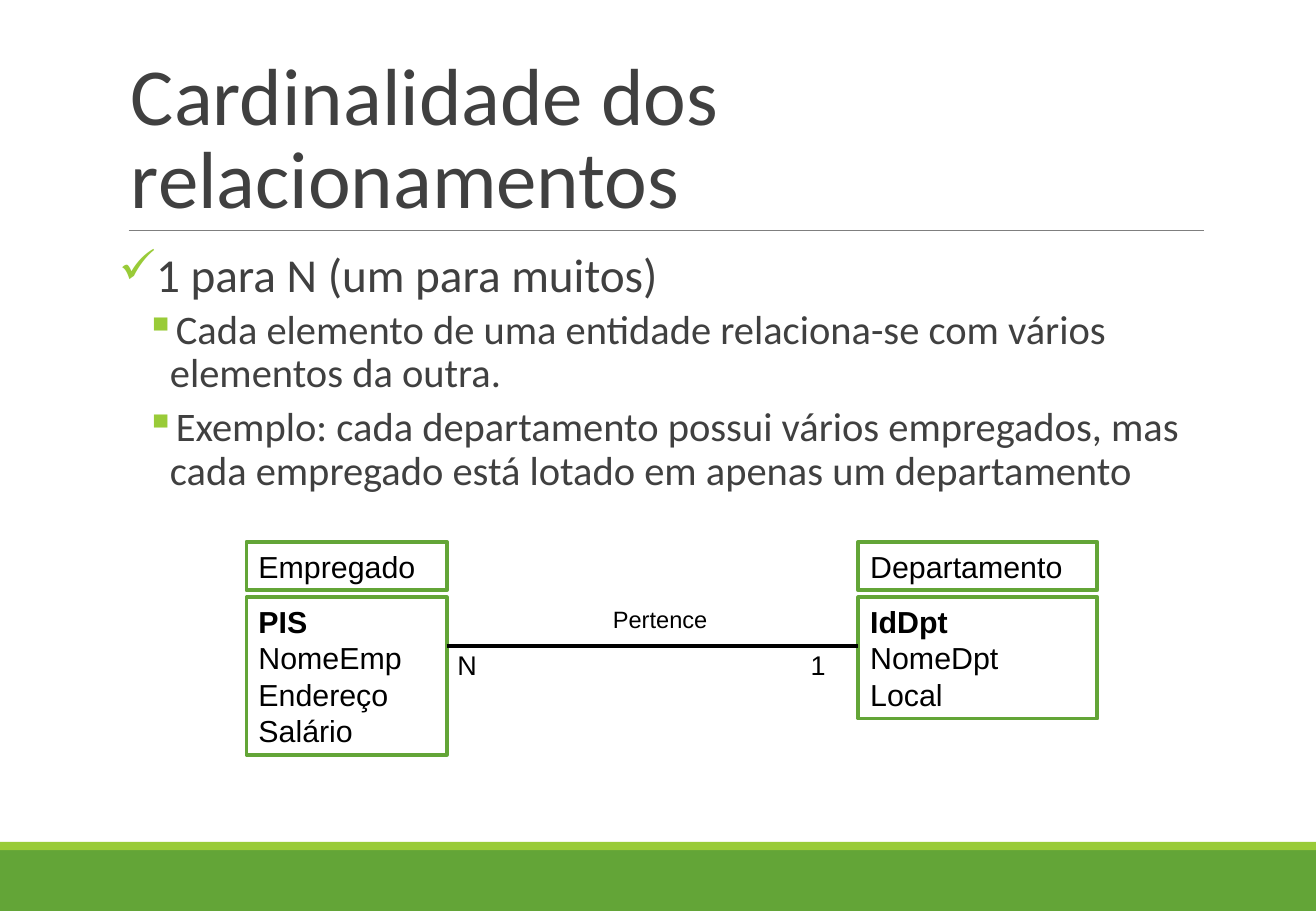
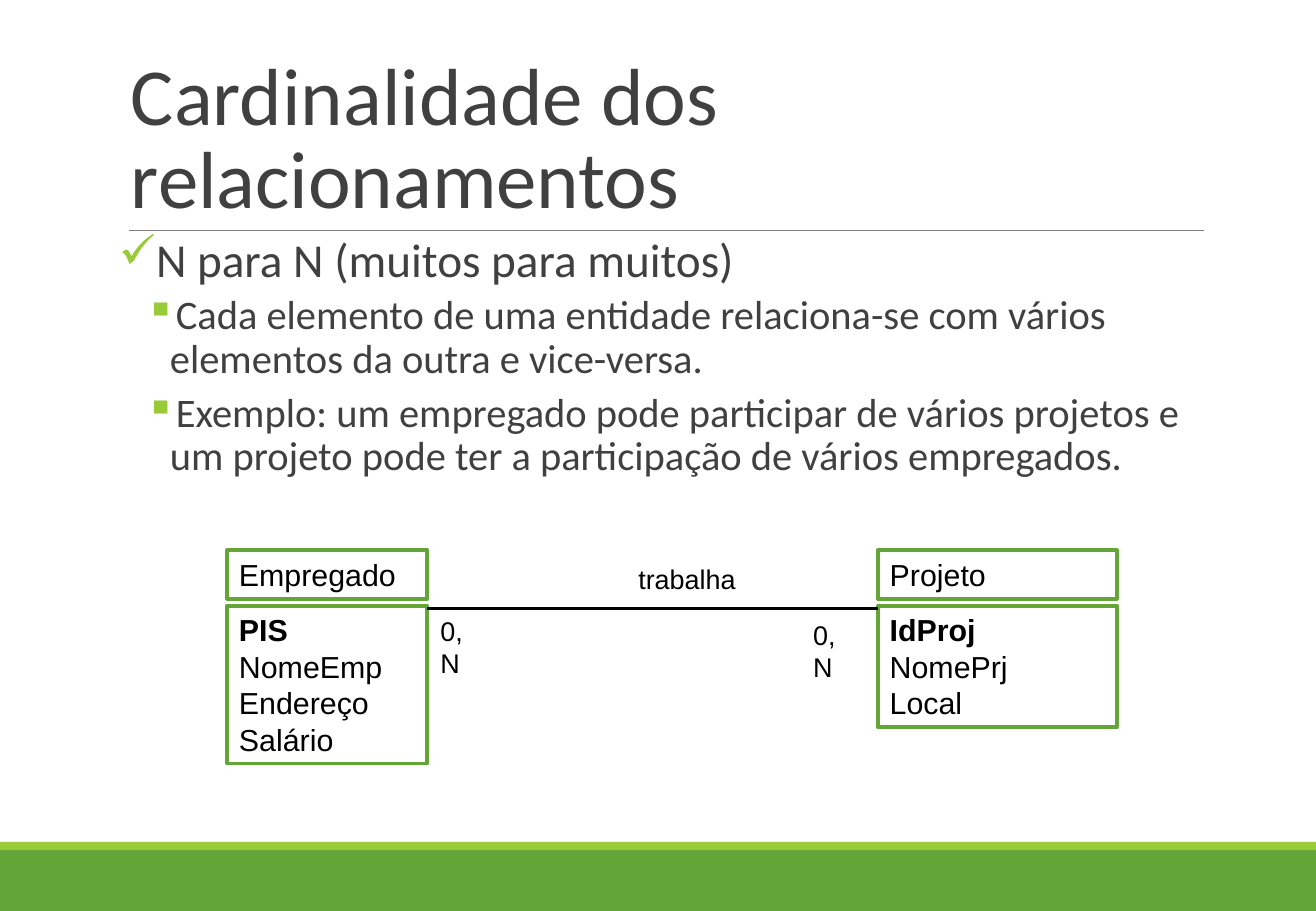
from dataclasses import dataclass

from lxml.etree import SubElement
from pptx import Presentation
from pptx.dml.color import RGBColor
from pptx.enum.shapes import MSO_CONNECTOR as Connector, MSO_SHAPE as Shape
from pptx.enum.text import MSO_ANCHOR as Anchor, PP_ALIGN as Align
from pptx.oxml.ns import qn
from pptx.util import Inches, Pt

WIDTH, HEIGHT = Inches(10.84), Inches(7.5)


@dataclass(frozen=True)
class Theme:
    green: str = "63A537"
    lime: str = "99CB38"
    gray: str = "7F7F7F"
    text: str = "404040"
    black: str = "000000"
    heading_font: str = "Calibri"
    diagram_font: str = "Arial"
    title_size: int = 48
    topic_size: int = 28
    point_size: int = 24
    entity_size: int = 18
    label_size: int = 16
    diagram_line: float = 2.25
    rule_line: float = 0.5


THEME = Theme()

# Shares of the slide, in percent
LEFT, RULE_TOP = 9.04, 25.33
ROW, PADDING, ENTITY_GAP = 4, 1.33, 0.75


def across(percent):
    return round(WIDTH * percent / 100)


def down(percent):
    return round(HEIGHT * percent / 100)


def area(left, top, width, height):
    return across(left), down(top), across(width), down(height)


# Basic elements
def style(paragraph, size, font, color, bold=False):
    paragraph.alignment = Align.LEFT
    paragraph.font.size = Pt(size)
    paragraph.font.name = font
    paragraph.font.bold = bold
    paragraph.font.color.rgb = RGBColor.from_string(color)


def add_bullet(paragraph, character, margin, hanging):
    properties = paragraph._p.get_or_add_pPr()
    properties.set("marL", str(Inches(margin)))
    properties.set("indent", str(-Inches(hanging)))
    color = SubElement(properties, qn("a:buClr"))
    SubElement(color, qn("a:srgbClr"), val=THEME.lime)
    SubElement(properties, qn("a:buChar"), char=character)


def add_text_box(slide, box, lines, wrap=True):
    frame = slide.shapes.add_textbox(*area(*box)).text_frame
    frame.word_wrap = wrap
    frame.text = "\n".join(lines)
    return frame


def add_rectangle(slide, box, fill=None, line=None):
    shape = slide.shapes.add_shape(Shape.RECTANGLE, *area(*box))
    shape.shadow.inherit = False
    if fill:
        shape.fill.solid()
        shape.fill.fore_color.rgb = RGBColor.from_string(fill)
    else:
        shape.fill.background()
    if line:
        shape.line.color.rgb = RGBColor.from_string(line)
        shape.line.width = Pt(THEME.diagram_line)
    else:
        shape.line.fill.background()
    return shape


def add_line(slide, start, end, top, color, width):
    line = slide.shapes.add_connector(
        Connector.STRAIGHT, across(start), down(top), across(end), down(top))
    line.line.color.rgb = RGBColor.from_string(color)
    line.line.width = Pt(width)
    SubElement(line._element.spPr, qn("a:effectLst"))


# Shared frame: bands, rule and title
def add_frame(slide, title):
    add_rectangle(slide, (0, 93.33, 100, 6.67), fill=THEME.green)
    add_rectangle(slide, (0, 92.4, 100, 0.93), fill=THEME.lime)
    add_line(slide, 9.78, 91.51, RULE_TOP, THEME.gray, THEME.rule_line)
    frame = add_text_box(slide, (LEFT, 4.13, 86.72, 21.2), [title])
    frame.vertical_anchor = Anchor.BOTTOM
    paragraph = frame.paragraphs[0]
    paragraph.line_spacing = 0.85
    style(paragraph, THEME.title_size, THEME.heading_font, THEME.text)


# A checked topic with its points
def add_topic(slide, top, topic, points):
    frame = add_text_box(slide, (LEFT, top, 82.47, 58.67), [topic, *points])
    frame.margin_left = frame.margin_right = 0
    first, *others = frame.paragraphs
    add_bullet(first, "✓", 0.1, 0.1)
    first.line_spacing = 0.9
    first.space_after = Pt(2)
    style(first, THEME.topic_size, THEME.heading_font, THEME.text)
    for paragraph in others:
        paragraph.level = 1
        add_bullet(paragraph, "▪", 0.42, 0.2)
        paragraph.line_spacing = 0.9
        paragraph.space_before = Pt(2)
        paragraph.space_after = Pt(4)
        style(paragraph, THEME.point_size, THEME.heading_font, THEME.text)


# Entity diagram
def add_entity_part(slide, left, top, width, lines, has_key=False):
    height = PADDING + ROW * len(lines)
    shape = add_rectangle(slide, (left, top, width, height), line=THEME.green)
    frame = shape.text_frame
    frame.vertical_anchor = Anchor.TOP
    frame.text = "\n".join(lines)
    for index, paragraph in enumerate(frame.paragraphs):
        style(paragraph, THEME.entity_size, THEME.diagram_font, THEME.black,
              bold=has_key and index == 0)
    return top + height


def add_entity(slide, left, top, width, name, attributes):
    bottom = add_entity_part(slide, left, top, width, [name])
    add_entity_part(slide, left, bottom + ENTITY_GAP, width, attributes, has_key=True)


def add_label(slide, left, top, width, text, size=THEME.label_size):
    frame = add_text_box(slide, (left, top, width, 4.93), [text], wrap=False)
    style(frame.paragraphs[0], size, THEME.diagram_font, THEME.black)


def add_relationship(slide, top, left_entity, right_entity, line_top, labels):
    left, left_width = left_entity[:2]
    right, right_width = right_entity[:2]
    add_entity(slide, left, top, left_width, *left_entity[2:])
    add_entity(slide, right, top, right_width, *right_entity[2:])
    add_line(slide, left + left_width, right, line_top, THEME.black, THEME.diagram_line)
    for label in labels:
        add_label(slide, *label)


def main():
    presentation = Presentation()
    presentation.slide_width, presentation.slide_height = WIDTH, HEIGHT
    title = "Cardinalidade dos relacionamentos"
    employee = ("Empregado", ["PIS", "NomeEmp", "Endereço", "Salário"])
    one_to_many, many_to_many = (
        presentation.slides.add_slide(presentation.slide_layouts[6]) for _ in range(2))

    # One to many
    add_frame(one_to_many, title)
    add_topic(one_to_many, 26.93, "1 para N (um para muitos)", [
        "Cada elemento de uma entidade relaciona-se com vários elementos da outra.",
        "Exemplo: cada departamento possui vários empregados, mas cada empregado "
        "está lotado em apenas um departamento",
    ])
    add_relationship(
        one_to_many, 59.47,
        (18.73, 15.22, *employee),
        (65.22, 18.17, "Departamento", ["IdDpt", "NomeDpt", "Local"]),
        70.93,
        [(45.66, 65.73, 9.04, "Pertence", 14),
         (60.7, 70.53, 2.95, "1"),
         (33.86, 70.53, 3.32, "N")])

    # Many to many
    add_frame(many_to_many, title)
    add_topic(many_to_many, RULE_TOP, "N para N (muitos para muitos)", [
        "Cada elemento de uma entidade relaciona-se com vários elementos da outra "
        "e vice-versa.",
        "Exemplo: um empregado pode participar de vários projetos e um projeto "
        "pode ter a participação de vários empregados.",
    ])
    add_relationship(
        many_to_many, 60.4,
        (17.25, 15.22, *employee),
        (66.7, 18.17, "Projeto", ["IdProj", "NomePrj", "Local"]),
        66.8,
        [(47.6, 61.07, 9.23, "trabalha"),
         (60.89, 67.2, 4.98, "0,N"),
         (32.56, 66.8, 4.98, "0,N")])

    presentation.save("out.pptx")


if __name__ == "__main__":
    main()
